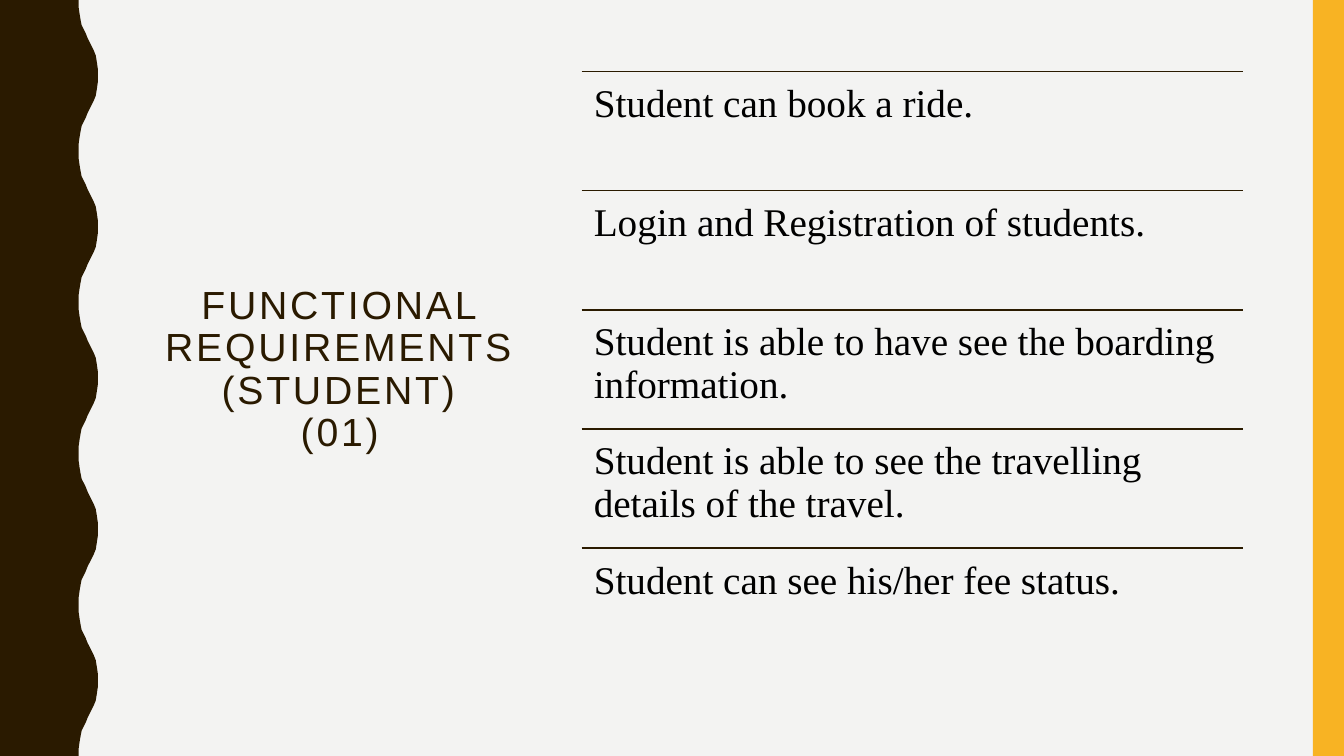
import pptx
import pptx.util
import pptx.dml.color
import pptx.enum.shapes
import pptx.enum.text
import pptx.oxml
import pptx.oxml.ns

Inches = pptx.util.Inches
Pt = pptx.util.Pt

BROWN = "2A1A00"
AMBER = "F8B323"
PAPER = "F3F3F2"
BLACK = "000000"

SLIDE_WIDTH, SLIDE_HEIGHT = 13.33, 7.5
TITLE = "FUNCTIONAL REQUIREMENTS\v(STUDENT)\v(01)"
REQUIREMENTS = [
    "Student can book a ride.",
    "Login and Registration of students.",
    "Student is able to have see the boarding information.",
    "Student is able to see the travelling details of the travel.",
    "Student can see his/her fee status.",
]
LIST_LEFT, LIST_TOP, LIST_WIDTH = 5.77, 0.71, 6.56
ROW_HEIGHT = 5.91 / len(REQUIREMENTS)

# One outward swing of the wavy edge; its mirror brings the edge back
WAVE_PERIOD = 1.5
SWING = [(0.78, 0), (0.78, 0.07), (0.79, 0.14), (0.8, 0.2), (0.81, 0.25),
         (0.83, 0.29), (0.85, 0.33), (0.87, 0.38), (0.89, 0.42), (0.91, 0.46),
         (0.93, 0.5), (0.95, 0.55), (0.96, 0.61), (0.97, 0.68), (0.97, 0.75)]


def color(hex_code):
    return pptx.dml.color.RGBColor.from_string(hex_code)


def paint(shape, hex_code):
    shape.fill.solid()
    shape.fill.fore_color.rgb = color(hex_code)
    shape.line.fill.background()
    shape.shadow.inherit = False


def format_text(paragraph, font_name, hex_code):
    paragraph.line_spacing = 0.9
    for run in paragraph.runs:
        run.font.name = font_name
        run.font.size = Pt(28)
        run.font.color.rgb = color(hex_code)


def add_wavy_edge(slide):
    wave = SWING + [(x, WAVE_PERIOD - y) for x, y in reversed(SWING[:-1])]
    periods = round(SLIDE_HEIGHT / WAVE_PERIOD)
    edge = [(x, y + WAVE_PERIOD * n) for n in range(periods) for x, y in wave]
    outline = [(Inches(x), Inches(y)) for x, y in edge + [(0, SLIDE_HEIGHT)]]
    builder = slide.shapes.build_freeform(0, 0)
    builder.add_line_segments(outline, close=True)
    paint(builder.convert_to_shape(), BROWN)


def add_side_bar(slide):
    bar = slide.shapes.add_shape(
        pptx.enum.shapes.MSO_SHAPE.RECTANGLE,
        Inches(13.02), 0, Inches(0.31), Inches(SLIDE_HEIGHT))
    paint(bar, AMBER)


def set_title(slide):
    title = slide.shapes.title
    title.left, title.top = Inches(1.37), Inches(0.71)
    title.width, title.height = Inches(4), Inches(5.93)
    frame = title.text_frame
    frame.text = TITLE
    frame.word_wrap = True
    frame.auto_size = pptx.enum.text.MSO_AUTO_SIZE.NONE
    frame.vertical_anchor = pptx.enum.text.MSO_ANCHOR.MIDDLE
    heading = frame.paragraphs[0]
    heading.alignment = pptx.enum.text.PP_ALIGN.CENTER
    format_text(heading, "Arial", BROWN)
    for run in heading.runs:
        run.font._element.set("spc", "200")  # letter spacing of 2 pt


def add_rule(slide, top):
    rule = slide.shapes.add_connector(
        pptx.enum.shapes.MSO_CONNECTOR.STRAIGHT,
        Inches(LIST_LEFT), Inches(top),
        Inches(LIST_LEFT + LIST_WIDTH), Inches(top))
    rule.line.color.rgb = color(BROWN)
    rule.line.width = Pt(1)
    rule._element.spPr.append(pptx.oxml.parse_xml(
        "<a:effectLst %s/>" % pptx.oxml.ns.nsdecls("a")))


def add_requirement(slide, top, wording):
    box = slide.shapes.add_textbox(
        Inches(LIST_LEFT), Inches(top), Inches(LIST_WIDTH), Inches(ROW_HEIGHT))
    frame = box.text_frame
    frame.word_wrap = True
    frame.margin_left = frame.margin_right = Inches(0.12)
    frame.margin_top = frame.margin_bottom = Inches(0.12)
    frame.text = wording
    format_text(frame.paragraphs[0], "Times New Roman", BLACK)


def main():
    deck = pptx.Presentation()
    deck.slide_width = Inches(SLIDE_WIDTH)
    deck.slide_height = Inches(SLIDE_HEIGHT)
    slide = deck.slides.add_slide(deck.slide_layouts.get_by_name("Title Only"))

    # Background and side decoration
    slide.background.fill.solid()
    slide.background.fill.fore_color.rgb = color(PAPER)
    add_wavy_edge(slide)
    add_side_bar(slide)

    # Title and ruled list of requirements
    set_title(slide)
    for row, wording in enumerate(REQUIREMENTS):
        top = LIST_TOP + row * ROW_HEIGHT
        add_rule(slide, top)
        add_requirement(slide, top, wording)

    deck.save("out.pptx")


if __name__ == "__main__":
    main()
